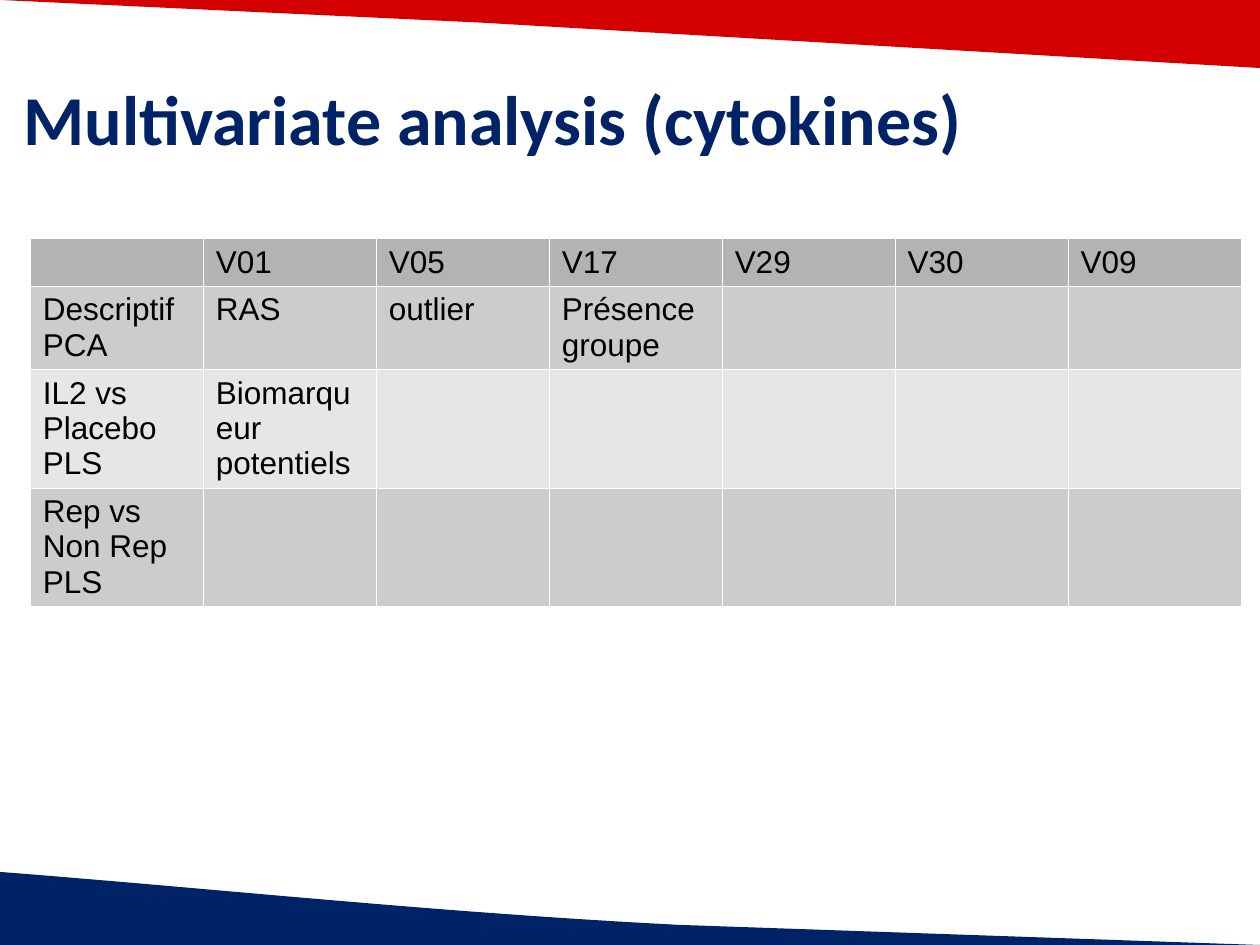
from lxml import etree
from pptx import Presentation
from pptx.dml.color import RGBColor
from pptx.oxml import ns
from pptx.util import Inches, Pt

NAVY, RED, WHITE, BLACK = "002266", "D40000", "FFFFFF", "000000"
HEADER, BAND_DARK, BAND_LIGHT = "B3B3B3", "CCCCCC", "E6E6E6"

ROWS = [
    ["", "V01", "V05", "V17", "V29", "V30", "V09"],
    ["Descriptif\nPCA", "RAS", "outlier", "Présence groupe", "", "", ""],
    ["IL2 vs Placebo\nPLS", "Biomarqueur potentiels", "", "", "", "", ""],
    ["Rep vs Non Rep\nPLS", "", "", "", "", "", ""],
]
ROW_HEIGHTS = [0.38, 0.38, 0.66, 0.66]
ROW_FILLS = [HEADER, BAND_DARK, BAND_LIGHT, BAND_DARK]


def color(value):
    return RGBColor.from_string(value)


def bezier(p0, p1, p2, p3, steps=24):
    """Points along a cubic curve, both ends included."""
    points = []
    for i in range(steps + 1):
        t = i / steps
        weights = ((1 - t) ** 3, 3 * t * (1 - t) ** 2, 3 * t * t * (1 - t), t ** 3)
        points.append(tuple(sum(w * c for w, c in zip(weights, axis))
                            for axis in zip(p0, p1, p2, p3)))
    return points


def add_band(s, left, top, points, fill):
    """Decorative band; points are relative to its box."""
    pts = [(Inches(left + x), Inches(top + y)) for x, y in points]
    builder = s.shapes.build_freeform(*pts[0])
    builder.add_line_segments(pts[1:], close=True)
    sp = builder.convert_to_shape()
    sp.shadow.inherit = False
    sp.fill.solid()
    sp.fill.fore_color.rgb = color(fill)
    sp.line.fill.background()


def set_borders(cell, value, width):
    tc_pr = cell._tc.get_or_add_tcPr()
    for i, side in enumerate(("a:lnL", "a:lnR", "a:lnT", "a:lnB")):
        ln = etree.Element(ns.qn(side), w=str(Pt(width)))
        fill = etree.SubElement(ln, ns.qn("a:solidFill"))
        etree.SubElement(fill, ns.qn("a:srgbClr"), val=value)
        tc_pr.insert(i, ln)


def add_results_table(s, left, top, width):
    n_cols = len(ROWS[0])
    frame = s.shapes.add_table(len(ROWS), n_cols, Inches(left), Inches(top),
                               Inches(width), Inches(sum(ROW_HEIGHTS)))
    table = frame.table
    for column in table.columns:
        column.width = Inches(width / n_cols)
    for r, values in enumerate(ROWS):
        table.rows[r].height = Inches(ROW_HEIGHTS[r])
        for c, value in enumerate(values):
            cell = table.cell(r, c)
            cell.fill.solid()
            cell.fill.fore_color.rgb = color(ROW_FILLS[r])
            set_borders(cell, WHITE, 0.06)
            cell.text_frame.text = value
            for p in cell.text_frame.paragraphs:
                p.font.size = Pt(18)
                p.font.name = "Arial"
                p.font.bold = False
                p.font.color.rgb = color(BLACK)


def add_title(s, left, top, width, height, title):
    sp = s.shapes.add_textbox(Inches(left), Inches(top), Inches(width), Inches(height))
    tf = sp.text_frame
    tf.word_wrap = True
    p = tf.paragraphs[0]
    p.text = title
    p.font.size = Pt(40)
    p.font.name = "Calibri"
    p.font.bold = True
    p.font.color.rgb = color(NAVY)


prs = Presentation()
prs.slide_width, prs.slide_height = Inches(10), Inches(7.5)
s = prs.slides.add_slide(prs.slide_layouts[6])

# Bottom and top bands
curve = bezier((0, 0), (1.79, 0.14), (3.45, 0.32), (5.38, 0.42))
add_band(s, 0, 6.92, curve + [(10, 0.58), (0, 0.58)], NAVY)
add_band(s, 0, 0, [(0, 0), (10, 0), (10, 0.54), (3.82, 0.18)], RED)

# Table and title
add_results_table(s, 0.24, 1.89, 9.61)
add_title(s, 0.09, 0.55, 10.07, 1.39, "Multivariate analysis (cytokines)")

prs.save("out.pptx")
